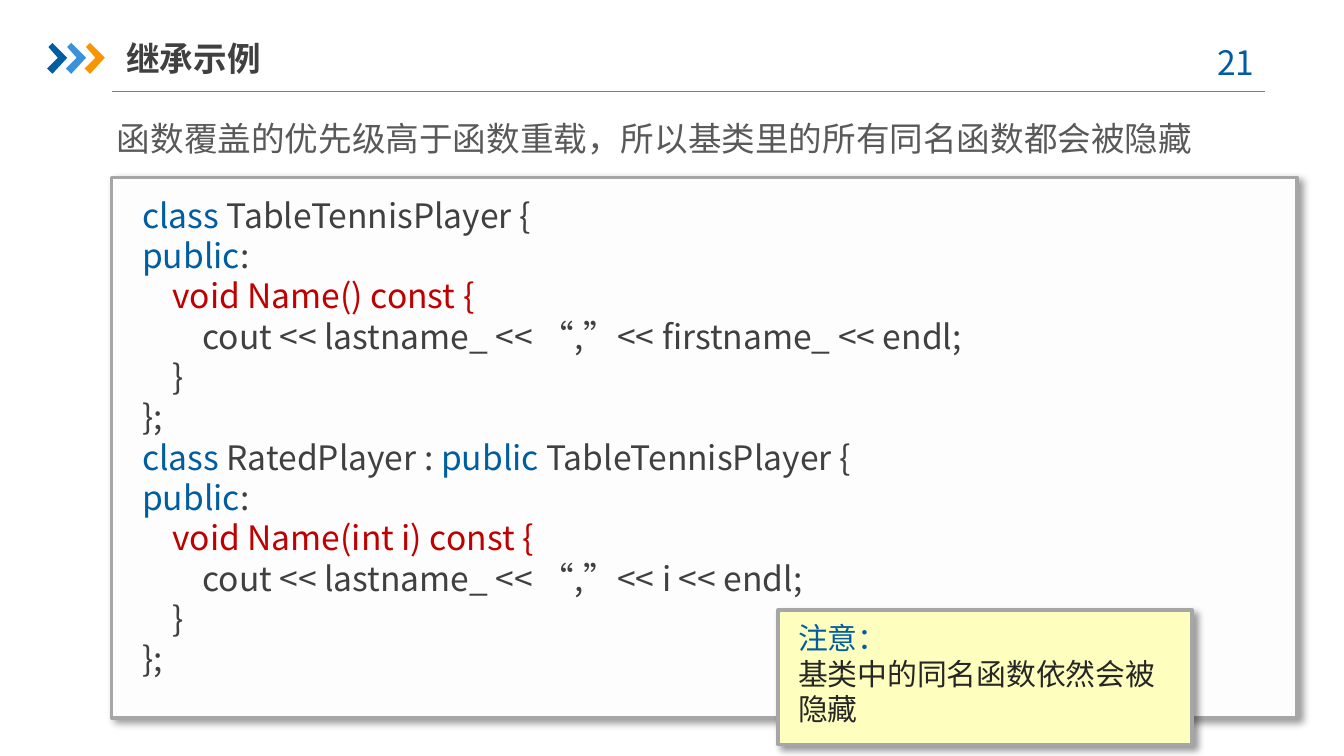
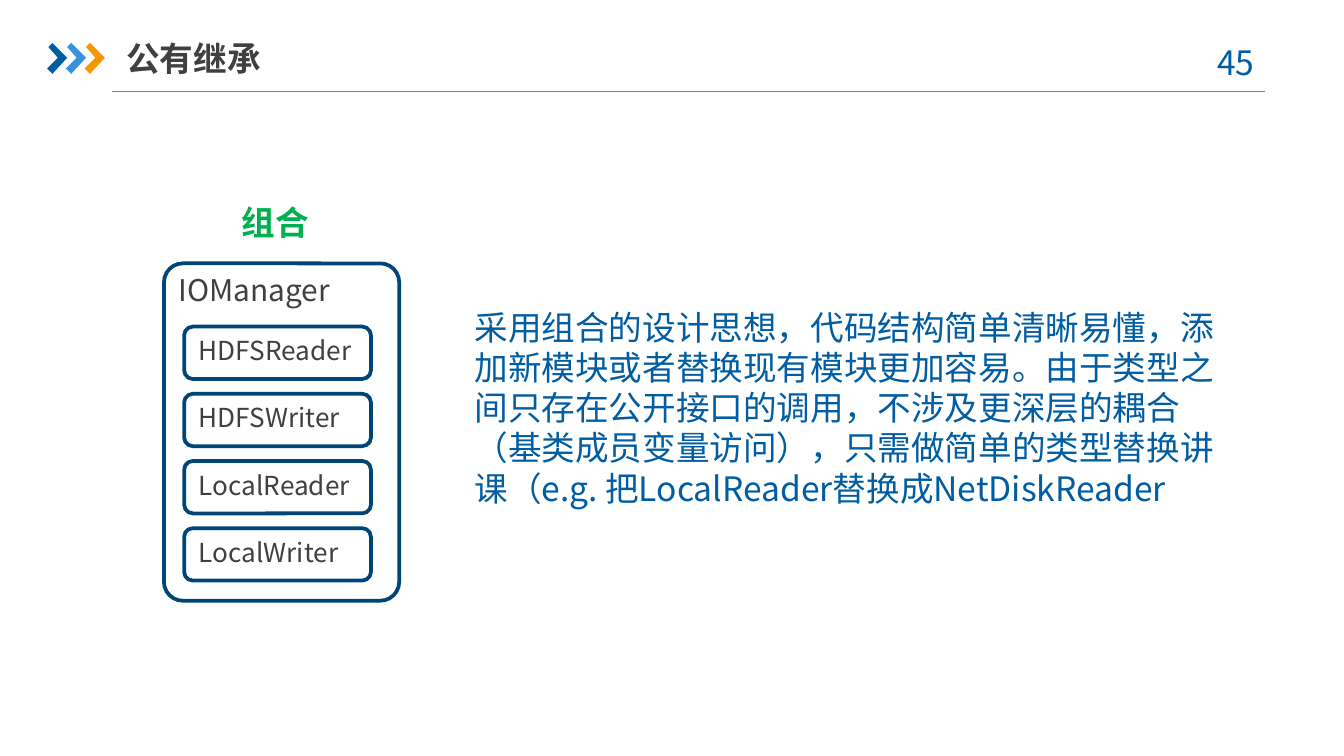
from pptx import Presentation
from pptx.dml.color import RGBColor
from pptx.enum import lang, shapes, text
from pptx.oxml import ns, xmlchemy as xc
from pptx.util import Inches, Pt


class Theme:
    font = "Noto Sans CJK SC"
    blue, sky, orange = "005DA2", "3992DB", "F79600"
    navy, green, red = "004578", "00B050", "C00000"
    dark, ink, grey = "404040", "262626", "595959"
    rule, frame = "808080", "A6A6A6"
    paper, note = "FDFDFD", "FEFFBE"
    big, medium, small = 18, 16, 14


# Content: a paragraph is a list of (text, colour) runs
B, D, R = Theme.blue, Theme.dark, Theme.red
OVERRIDE = {
    "title": "继承示例", "title_width": 2.33, "page": "21 ",
    "body": "函数覆盖的优先级高于函数重载，所以基类里的所有同名函数都会被隐藏",
    "body_box": (0.77, 0.83, 8.25, 0.4), "body_color": Theme.grey,
}
CODE = [
    [("class", B), (" TableTennisPlayer {", D)],
    [("public", B), (":", D)],
    [("    void Name() const {", R)],
    [("        cout << lastname_ << “,”<< firstname_ << endl;", D)],
    [("    }", D)],
    [("};", D)],
    [("class ", B), ("RatedPlayer : ", D), ("public ", B), ("TableTennisPlayer {", D)],
    [("public", B), (":", D)],
    [("    void Name(int i) const {", R)],
    [("        cout << lastname_ << “,”<< i << endl;", D)],
    [("    }", D)],
    [("};", D)],
]
NOTE = [[("注意：", B), ("\n", B), ("基类中的同名函数依然会被隐藏", Theme.ink)]]

COMPOSITION = {
    "title": "公有继承", "title_width": 2.64, "page": "45 ",
    "body": "采用组合的设计思想，代码结构简单清晰易懂，添加新模块或者替换现有模块更加容易。"
            "由于类型之间只存在公开接口的调用，不涉及更深层的耦合（基类成员变量访问），"
            "只需做简单的类型替换讲课（e.g. 把LocalReader替换成NetDiskReader",
    "body_box": (3.43, 2.23, 5.83, 1.62), "body_color": Theme.blue,
}
MANAGER = "IOManager"
MODULES = ["HDFSReader", "HDFSWriter", "LocalReader", "LocalWriter"]


# Helpers
def rgb(color):
    return RGBColor.from_string(color)


def place(sp, box):
    for name, value in zip(("left", "top", "width", "height"), box):
        setattr(sp, name, Inches(value))


def write(sp, paragraphs, size=Theme.big, bold=False, align=text.PP_ALIGN.LEFT, after=0, **frame):
    tf = sp.text_frame
    settings = {"word_wrap": True, "auto_size": text.MSO_AUTO_SIZE.NONE,
                "vertical_anchor": text.MSO_ANCHOR.TOP, **frame}
    for name, value in settings.items():
        setattr(tf, name, value)
    for i, runs in enumerate(paragraphs):
        p = tf.paragraphs[0] if i == 0 else tf.add_paragraph()
        p.alignment, p.space_before, p.space_after = align, Pt(0), Pt(after)
        for words, color in runs:
            if words == "\n":
                p.add_line_break()
                continue
            r = p.add_run()
            r.text = words
            style = {"name": Theme.font, "size": Pt(size), "bold": bold,
                     "language_id": lang.MSO_LANGUAGE_ID.SIMPLIFIED_CHINESE}
            for name, value in style.items():
                setattr(r.font, name, value)
            r.font.color.rgb = rgb(color)
            ea = xc.OxmlElement("a:ea")
            ea.set("typeface", Theme.font)
            r.font._element.append(ea)


def add_text(s, box, paragraphs, **style):
    sp = s.shapes.add_textbox(*map(Inches, box))
    write(sp, paragraphs, **style)


def paint(sp, fill=None, line=None):
    if fill:
        sp.fill.solid()
        sp.fill.fore_color.rgb = rgb(fill)
    else:
        sp.fill.background()
    if line:
        sp.line.color.rgb = rgb(line)
        sp.line.width = Pt(2)
    else:
        sp.line.fill.background()
    sp.shadow.inherit = False


def add_box(s, kind, box, fill=None, line=None):
    sp = s.shapes.add_shape(kind, *map(Inches, box))
    paint(sp, fill, line)
    return sp


def drop_shadow(sp):
    effects = sp._element.spPr.find(ns.qn("a:effectLst"))
    shadow = xc.OxmlElement("a:outerShdw")
    for name, value in {"blurRad": Pt(4), "dist": Pt(3), "dir": 45 * 60000,
                        "algn": "tl", "rotWithShape": 0}.items():
        shadow.set(name, str(int(value) if name != "algn" else value))
    color, alpha = xc.OxmlElement("a:srgbClr"), xc.OxmlElement("a:alpha")
    color.set("val", "000000")
    alpha.set("val", "40000")
    color.append(alpha)
    shadow.append(color)
    effects.append(shadow)


def add_panel(s, outer, inner, fill, paragraphs, **style):
    rect = shapes.MSO_SHAPE.RECTANGLE
    drop_shadow(add_box(s, rect, outer, fill, Theme.frame))
    write(add_box(s, rect, inner, fill), paragraphs, **style)


# Header shared by the slides
def add_header(s, page):
    rule = s.shapes.add_connector(shapes.MSO_CONNECTOR.STRAIGHT,
                                  *map(Inches, (0.83, 0.68, 9.41, 0.68)))
    rule.line.color.rgb = rgb(Theme.rule)
    rule.line.width = Pt(0.75)
    rule._element.spPr.append(xc.OxmlElement("a:effectLst"))
    chevron = [(0.36, 0.35), (0.39, 0.32), (0.5, 0.43), (0.39, 0.55), (0.35, 0.51), (0.43, 0.43)]
    for i, color in enumerate((Theme.blue, Theme.sky, Theme.orange)):
        points = [(Inches(x + 0.14 * i), Inches(y)) for x, y in chevron]
        outline = s.shapes.build_freeform(*points[0])
        outline.add_line_segments(points[1:], close=True)
        paint(outline.convert_to_shape(), color)
    add_text(s, (8.86, 0.26, 0.73, 0.4), [[(page, Theme.blue)]], align=text.PP_ALIGN.CENTER)


def add_slide(prs, content):
    s = prs.slides.add_slide(prs.slide_layouts[1])
    add_header(s, content["page"])
    title, body = s.placeholders
    place(title, (0.94, 0.22, content["title_width"], 0.42))
    write(title, [[(content["title"], Theme.dark)]], bold=True, margin_left=0, margin_right=0,
          vertical_anchor=text.MSO_ANCHOR.MIDDLE)
    place(body, content["body_box"])
    pPr = body.text_frame.paragraphs[0]._p.get_or_add_pPr()
    pPr.set("marL", "0")
    pPr.set("indent", "0")
    pPr.append(xc.OxmlElement("a:buNone"))
    write(body, [[(content["body"], content["body_color"])]])
    return s


# Slide bodies
def build_override(prs):
    s = add_slide(prs, OVERRIDE)
    add_panel(s, (0.83, 1.32, 8.82, 4.02), (0.96, 1.4, 8.56, 3.43), Theme.paper, CODE)
    add_panel(s, (5.79, 4.54, 3.08, 1), (5.84, 4.56, 2.98, 0.91), Theme.note, NOTE,
              size=Theme.medium, after=6)


def build_composition(prs):
    s = add_slide(prs, COMPOSITION)
    rounded = shapes.MSO_SHAPE.ROUNDED_RECTANGLE
    add_text(s, (1.7, 1.45, 0.8, 0.4), [[("组合", Theme.green)]], bold=True)
    manager = add_box(s, rounded, (1.22, 1.96, 1.75, 2.51), line=Theme.navy)
    manager.adjustments[0] = 0.08
    write(manager, [[(MANAGER, Theme.dark)]], size=Theme.medium,
          margin_left=Inches(0.07), margin_top=Inches(0.02))
    for i, name in enumerate(MODULES):
        module = add_box(s, rounded, (1.37, 2.43 + 0.5 * i, 1.39, 0.39), line=Theme.navy)
        write(module, [[(name, Theme.dark)]], size=Theme.small,
              margin_left=Inches(0.09), margin_right=0, margin_top=Inches(0.04))


def main():
    prs = Presentation()
    # Widescreen, 16:9
    prs.slide_width = Inches(10)
    prs.slide_height = prs.slide_width * 9 // 16
    build_override(prs)
    build_composition(prs)
    prs.save("out.pptx")


if __name__ == "__main__":
    main()
